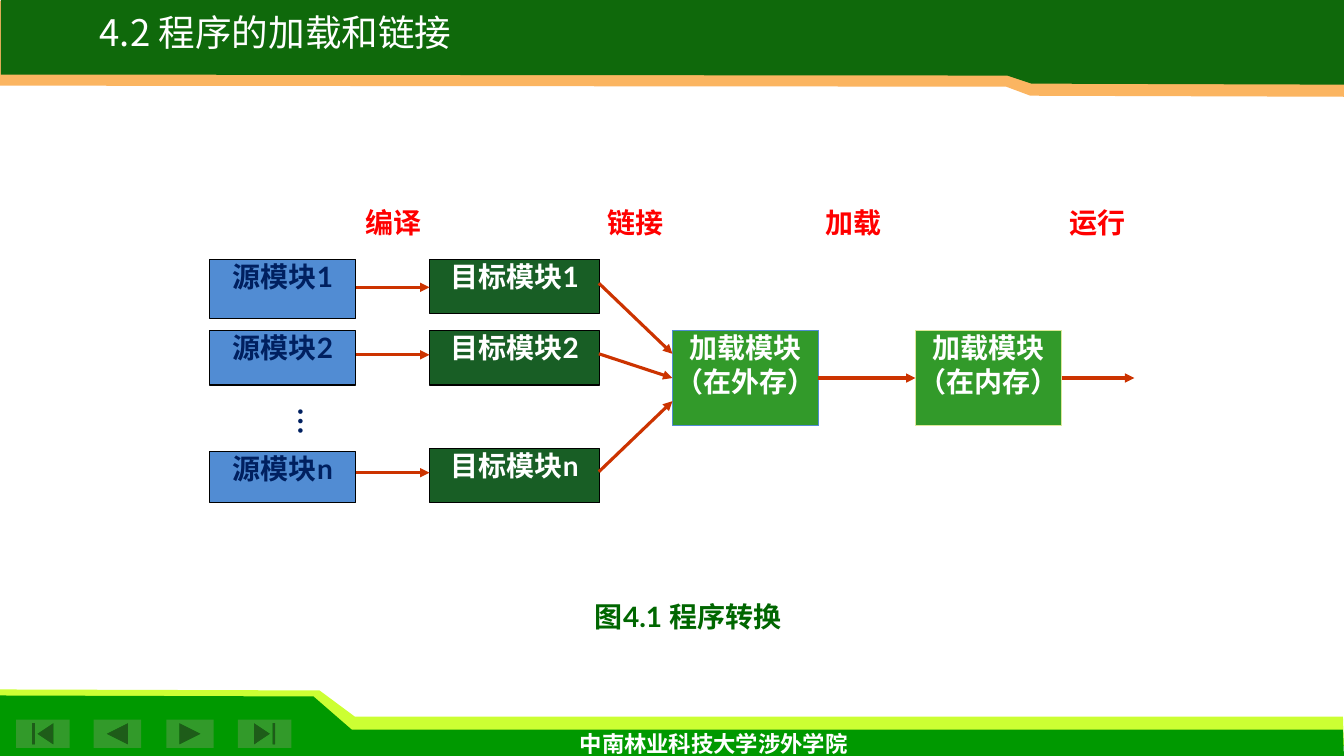
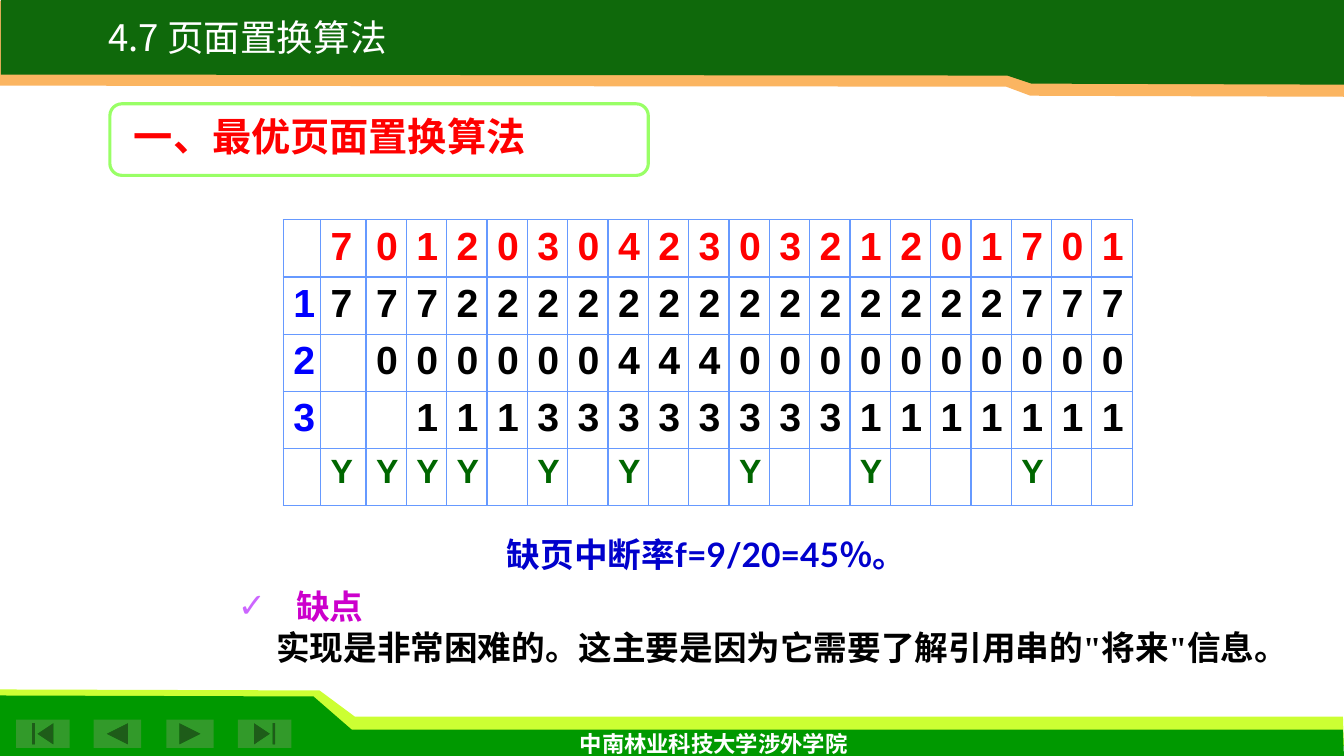
from pptx import Presentation
from pptx.dml.color import RGBColor
from pptx.enum.shapes import MSO_CONNECTOR, MSO_SHAPE
from pptx.enum.text import MSO_ANCHOR, MSO_AUTO_SIZE, PP_ALIGN
from pptx.oxml.ns import qn
from pptx.util import Inches, Pt
from lxml.etree import SubElement

# Colours and fonts
WHITE = RGBColor(0xFF, 0xFF, 0xFF)
BLACK = RGBColor(0, 0, 0)
RED = RGBColor(0xFF, 0, 0)
NAVY = RGBColor(0, 0x20, 0x60)
BLUE = RGBColor(0x51, 0x8C, 0xD3)
INDEX_BLUE = RGBColor(0, 0, 0xFF)
FORMULA_BLUE = RGBColor(0, 0, 0xCC)
GRID_BLUE = RGBColor(0x66, 0x99, 0xFF)
DARK_GREEN = RGBColor(0x18, 0x5E, 0x25)
TEXT_GREEN = RGBColor(0, 0x66, 0)
GREEN = RGBColor(0x32, 0x9A, 0x2A)
HEADER_GREEN = RGBColor(0x0F, 0x69, 0x0B)
FOOTER_GREEN = RGBColor(0, 0x99, 0)
LIME = RGBColor(0xCC, 0xFF, 0x33)
FRAME_LIME = RGBColor(0x99, 0xFF, 0x66)
PALE_LIME = RGBColor(0xDD, 0xE8, 0x9A)
ORANGE = RGBColor(0xFB, 0xB5, 0x61)
ARROW = RGBColor(0xCC, 0x33, 0)
MAGENTA = RGBColor(0xCC, 0, 0xCC)
TICK = RGBColor(0xCC, 0x66, 0xFF)
LATO, TIMES, ARIAL, SANS = "Lato", "Times New Roman", "Arial", "Noto Sans CJK SC"

# Shared content: bands as outlines, navigation buttons, footer
BANDS = [
    (LIME, [(0.01, 7.4), (13.33, 7.4), (13.32, 7.11), (3.52, 7.11), (3.17, 6.85), (0, 6.84)]),
    (FOOTER_GREEN, [(0, 7.53), (13.33, 7.51), (13.32, 7.24), (3.49, 7.24), (3.11, 6.91), (0, 6.9)]),
    (ORANGE, [(13.33, 0.01), (0, 0.01), (0, 0.85), (9.98, 0.86), (10.22, 0.95), (13.33, 0.96)]),
    (HEADER_GREEN, [(13.34, -0.03), (0.01, -0.03), (0.01, 0.74), (9.99, 0.75),
                    (10.23, 0.83), (13.34, 0.84)]),
]
BUTTONS = [
    (MSO_SHAPE.ACTION_BUTTON_BACK_OR_PREVIOUS, 0.93, 0.47),
    (MSO_SHAPE.ACTION_BUTTON_FORWARD_OR_NEXT, 1.65, 0.47),
    (MSO_SHAPE.ACTION_BUTTON_BEGINNING, 0.16, 0.53),
    (MSO_SHAPE.ACTION_BUTTON_END, 2.36, 0.53),
]
FOOTER = "中南林业科技大学涉外学院"

# Program conversion: (suffix, source top, source height, object top, arrow y)
MODULES = [
    ("1", 2.57, 0.59, 2.57, 2.85),
    ("2", 3.28, 0.54, 3.28, 3.52),
    ("n", 4.48, 0.51, 4.45, 4.69),
]
LOADED = [(6.67, "（在外存）", BLUE), (9.08, "（在内存）", PALE_LIME)]
STEPS = [("编译", 3.42, 0.97), ("链接", 5.94, 0.72), ("加载", 8.11, 0.72), ("运行", 10.53, 0.72)]
LINK_ARROWS = [
    (5.94, 2.81, 6.67, 3.51), (5.94, 3.51, 6.67, 3.75), (5.94, 4.68, 6.67, 3.98),
    (8.11, 3.75, 9.08, 3.75), (10.53, 3.75, 11.25, 3.75),
]

# Page replacement: one character per column, (text, first colour, other colour, size)
PAGE_ROWS = [
    (" 70120304230321201701", RED, RED, 28),
    ("177722222222222222777", INDEX_BLUE, BLACK, 28),
    ("2 0000004440000000000", INDEX_BLUE, BLACK, 28),
    ("3  111333333331111111", INDEX_BLUE, BLACK, 28),
    (" YYYY Y Y  Y  Y   Y  ", TEXT_GREEN, TEXT_GREEN, 24),
]
COLUMNS = [0.37, 0.45] + [0.4] * 19
DRAWBACK = "缺点"
REASON = "实现是非常困难的。这主要是因为它需要了解引用串的\"将来\"信息。"


# Text helpers
def style(r, font, size, color, bold=True, east=LATO):
    r.font.name, r.font.size, r.font.bold = font, Pt(size), bold
    r.font.color.rgb = color
    SubElement(r._r.get_or_add_rPr(), qn("a:ea")).set("typeface", east)


def write(tf, lines, size, color, align=PP_ALIGN.CENTER):
    """Each line is a list of (text, font) pairs."""
    for i, line in enumerate(lines):
        p = tf.paragraphs[0] if i == 0 else tf.add_paragraph()
        p.alignment = align
        for text, font in line:
            r = p.add_run()
            r.text = text
            style(r, font, size, color)


def no_insets(tf):
    tf.margin_left = tf.margin_right = tf.margin_top = tf.margin_bottom = 0


def place(s, x, y, w, h):
    s.left, s.top, s.width, s.height = Inches(x), Inches(y), Inches(w), Inches(h)


def text_box(slide, box, lines, size, color, align=PP_ALIGN.CENTER, wrap=True, inset=True):
    s = slide.shapes.add_textbox(*map(Inches, box))
    tf = s.text_frame
    tf.word_wrap = wrap
    if not inset:
        no_insets(tf)
    write(tf, lines, size, color, align)
    return tf


# Shape helpers
def paint(s, fill, line=None, width=1):
    s.shadow.inherit = False
    s.fill.solid()
    s.fill.fore_color.rgb = fill
    if line is None:
        s.line.fill.background()
    else:
        s.line.color.rgb = line
        s.line.width = Pt(width)


def module(slide, box, fill, line, width, lines, color=WHITE):
    s = slide.shapes.add_shape(MSO_SHAPE.RECTANGLE, *map(Inches, box))
    paint(s, fill, line, width)
    tf = s.text_frame
    no_insets(tf)
    tf.vertical_anchor = MSO_ANCHOR.TOP
    write(tf, lines, 20, color)


def arrow(slide, *ends):
    c = slide.shapes.add_connector(MSO_CONNECTOR.STRAIGHT, *map(Inches, ends))
    c.line.color.rgb = ARROW
    c.line.width = Pt(2.25)
    SubElement(c.line._get_or_add_ln(), qn("a:tailEnd")).set("type", "triangle")
    SubElement(c._element.spPr, qn("a:effectLst"))


def cell_borders(cell):
    tcPr = cell._tc.get_or_add_tcPr()
    for i, side in enumerate(("a:lnL", "a:lnR", "a:lnT", "a:lnB")):
        ln = SubElement(tcPr, qn(side))
        ln.set("w", str(Pt(1)))
        fill = SubElement(ln, qn("a:solidFill"))
        SubElement(fill, qn("a:srgbClr")).set("val", str(GRID_BLUE))
        tcPr.insert(i, ln)


# Shared frame: bands, buttons, footer and title
def new_slide(layout, title, y, width):
    slide = prs.slides.add_slide(prs.slide_layouts[layout])
    placeholders = list(slide.placeholders)
    for color, points in BANDS:
        outline = [(Inches(px), Inches(py)) for px, py in points]
        fb = slide.shapes.build_freeform(*outline[0])
        fb.add_line_segments(outline[1:])
        paint(fb.convert_to_shape(), color)
    for kind, x, w in BUTTONS:
        paint(slide.shapes.add_shape(kind, *map(Inches, (x, 7.14, w, 0.28))), GREEN)
    text_box(slide, (4.86, 7.19, 4.44, 0.37), [[(FOOTER, LATO)]], 16, WHITE)

    # Placeholders stand in front of the bands
    for s in placeholders:
        slide.shapes._spTree.append(s._element)
    s = slide.shapes.title
    place(s, 0.45, y, width, 0.46)
    tf = s.text_frame
    tf.text = title
    tf.word_wrap = False
    tf.auto_size = MSO_AUTO_SIZE.NONE
    tf.vertical_anchor = MSO_ANCHOR.TOP
    p = tf.paragraphs[0]
    p.alignment = PP_ALIGN.CENTER
    p.line_spacing = 0.8
    style(p.runs[0], SANS, 26.1, WHITE, bold=False, east=SANS)
    return slide


prs = Presentation()
prs.slide_width, prs.slide_height = Inches(13.33), Inches(7.5)

# Slide 1: program conversion
slide = new_slide(5, "4.2 程序的加载和链接 ", 0.13, 4.65)
for suffix, source_y, source_h, object_y, arrow_y in MODULES:
    module(slide, (2.08, source_y, 1.45, source_h), BLUE, BLACK, 0.75,
           [[("源模块", TIMES), (suffix, LATO)]], NAVY)
    module(slide, (4.26, object_y, 1.69, 0.54), DARK_GREEN, BLACK, 0.75,
           [[("目标模块", TIMES), (suffix, LATO)]])
    arrow(slide, 3.53, arrow_y, 4.26, arrow_y)
for x, where, border in LOADED:
    module(slide, (x, 3.28, 1.45, 0.94), GREEN, border, 1,
           [[("加载模块", TIMES)], [(where, TIMES)]])
for ends in LINK_ARROWS:
    arrow(slide, *ends)
for step, x, w in STEPS:
    text_box(slide, (x, 2.04, w, 0.54), [[(step, TIMES)]], 20, RED, inset=False)
dots = text_box(slide, (2.57, 3.94, 0.72, 0.7), [[("…", TIMES)]], 20, NAVY, PP_ALIGN.LEFT)
dots._txBody.bodyPr.set("vert", "eaVert")
text_box(slide, (5.05, 5.95, 3.55, 0.54),
         [[("图", TIMES), ("4.1 ", LATO), ("程序转换", TIMES)]], 20, TEXT_GREEN, inset=False)

# Slide 2: optimal page replacement
slide = new_slide(1, "4.7 页面置换算法 ", 0.18, 4.09)
s = slide.shapes.add_shape(MSO_SHAPE.ROUNDED_RECTANGLE, *map(Inches, (1.09, 1.03, 5.34, 0.71)))
paint(s, WHITE, FRAME_LIME, 2.25)
text_box(slide, (1.23, 1.07, 6.03, 0.57), [[("一、最优页面置换算法 ", TIMES)]], 28, RED,
         PP_ALIGN.LEFT)

# Page table
table = slide.shapes.add_table(len(PAGE_ROWS), len(COLUMNS),
                               *map(Inches, (2.81, 2.18, 8.42, 2.83))).table
table.first_row = table.horz_banding = False
for column, w in zip(table.columns, COLUMNS):
    column.width = Inches(w)
for i, (marks, first, rest, size) in enumerate(PAGE_ROWS):
    for j, mark in enumerate(marks):
        cell = table.cell(i, j)
        cell.fill.background()
        cell_borders(cell)
        if mark != " ":
            write(cell.text_frame, [[(mark, ARIAL)]], size, rest if j else first, PP_ALIGN.LEFT)

# Drawback list
body = slide.placeholders[1]
place(body, 2.26, 5.76, 10.71, 0.91)
tf = body.text_frame
tf.auto_size = MSO_AUTO_SIZE.NONE
tf.vertical_anchor = MSO_ANCHOR.MIDDLE
tf.text = DRAWBACK
tf.add_paragraph().text = REASON
for p, color, margin, indent in zip(tf.paragraphs, (MAGENTA, BLACK), (0.58, 0), (-0.58, 0.38)):
    p.space_before = Pt(0)
    style(p.runs[0], TIMES, 24, color)
    pPr = p._p.get_or_add_pPr()
    pPr.set("marL", str(Inches(margin)))
    pPr.set("indent", str(Inches(indent)))
    if color == MAGENTA:
        bullet_color = SubElement(pPr, qn("a:buClr"))
        SubElement(bullet_color, qn("a:srgbClr")).set("val", str(TICK))
        SubElement(pPr, qn("a:buChar")).set("char", "✓")
    else:
        SubElement(pPr, qn("a:buNone"))

# Fault rate
tf = text_box(slide, (4.93, 5.25, 4.47, 0.5), [[("缺页中断率f=9/20=45％。 ", LATO)]], 24,
              FORMULA_BLUE, PP_ALIGN.LEFT, wrap=False)
tf.vertical_anchor = MSO_ANCHOR.MIDDLE

prs.save("out.pptx")
